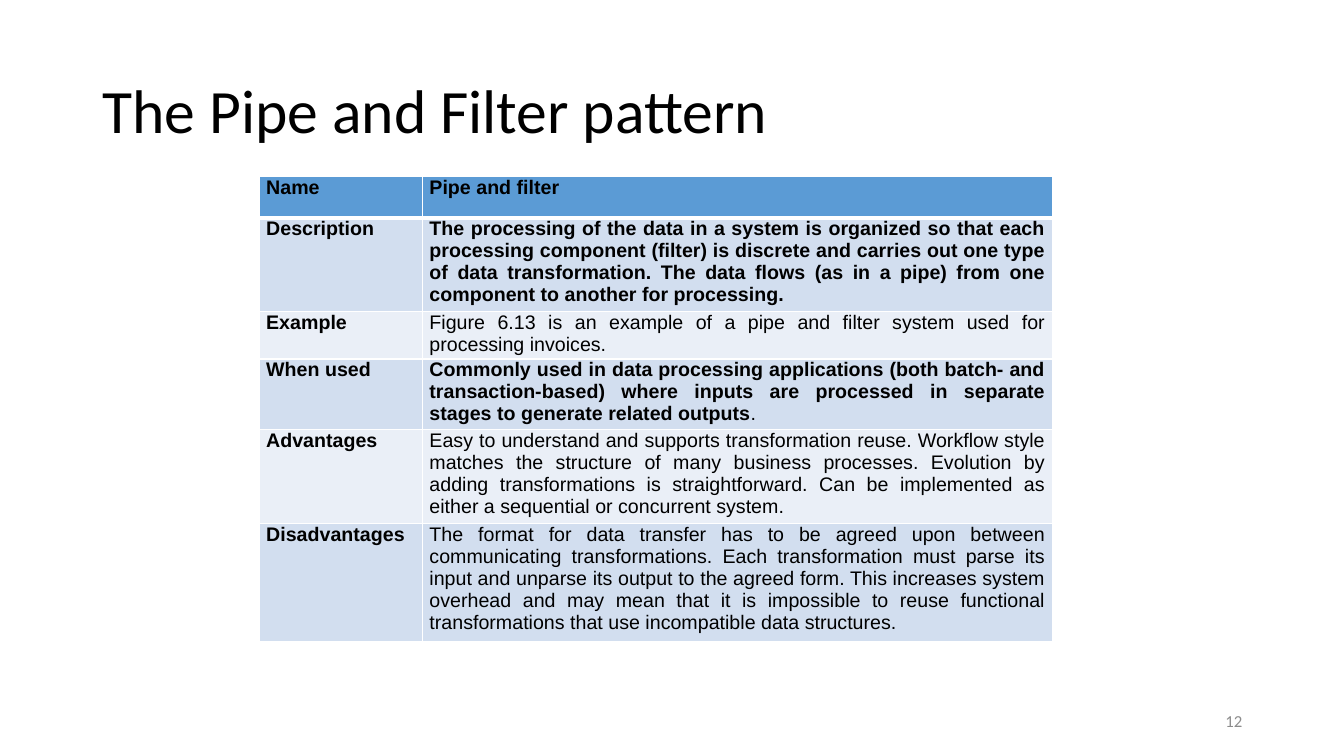
import pptx
import pptx.util
import pptx.dml.color
import pptx.enum.text
from lxml import etree
from pptx.util import Inches

COLORS = {
    "text": "000000",
    "number": "8C8C8C",
    "header": "5B9BD5",
    "band_dark": "D2DEEF",
    "band_light": "EAEFF7",
    "border": "FFFFFF",
}
ALIGN = pptx.enum.text.PP_ALIGN
ANCHOR = pptx.enum.text.MSO_ANCHOR
NS = "http://schemas.openxmlformats.org/drawingml/2006/main"

ROWS = [
    ("Name", [("Pipe and filter", True)]),
    ("Description", [(
        "The processing of the data in a system is organized so that each "
        "processing component (filter) is discrete and carries out one type of "
        "data transformation. The data flows (as in a pipe) from one component "
        "to another for processing. ", True)]),
    ("Example", [(
        "Figure 6.13 is an example of a pipe and filter system used for "
        "processing invoices.", False)]),
    ("When used", [(
        "Commonly used in data processing applications (both batch- and "
        "transaction-based) where inputs are processed in separate stages to "
        "generate related outputs", True), (".", False)]),
    ("Advantages", [(
        "Easy to understand and supports transformation reuse. Workflow style "
        "matches the structure of many business processes. Evolution by adding "
        "transformations is straightforward. Can be implemented as either a "
        "sequential or concurrent system.", False)]),
    ("Disadvantages", [(
        "The format for data transfer has to be agreed upon between "
        "communicating transformations. Each transformation must parse its "
        "input and unparse its output to the agreed form. This increases system "
        "overhead and may mean that it is impossible to reuse functional "
        "transformations that use incompatible data structures.", False)]),
]


def rgb(name):
    return pptx.dml.color.RGBColor.from_string(COLORS[name])


def set_font(p, name, size, color):
    p.font.name = name
    p.font.size = pptx.util.Pt(size)
    p.font.color.rgb = rgb(color)


def add_text(s, text, box, size, color, align):
    tf = s.shapes.add_textbox(*map(Inches, box)).text_frame
    tf.word_wrap = True
    tf.vertical_anchor = ANCHOR.MIDDLE
    p = tf.paragraphs[0]
    p.text = text
    p.alignment = align
    set_font(p, "Calibri", size, color)
    return p


def set_borders(cell, bottom):
    tc_pr = cell._tc.get_or_add_tcPr()
    for side, width in (("L", 1), ("R", 1), ("T", 1), ("B", bottom)):
        ln = etree.SubElement(tc_pr, f"{{{NS}}}ln{side}", w=str(pptx.util.Pt(width)))
        fill = etree.SubElement(ln, f"{{{NS}}}solidFill")
        etree.SubElement(fill, f"{{{NS}}}srgbClr", val=COLORS["border"])


def fill_cell(cell, runs, fill, bottom):
    cell.margin_left = cell.margin_right = Inches(0.07)
    cell.margin_top = cell.margin_bottom = 0
    set_borders(cell, bottom)
    cell.fill.solid()
    cell.fill.fore_color.rgb = rgb(fill)
    p = cell.text_frame.paragraphs[0]
    p.alignment = ALIGN.JUSTIFY
    set_font(p, "Arial", 14, "text")
    for text, bold in runs:
        r = p.add_run()
        r.text = text
        r.font.bold = bold


def add_pattern_table(s):
    row_height = Inches(0.41)
    frame = s.shapes.add_table(len(ROWS), 2, Inches(2.57), Inches(1.75),
                               Inches(7.87), row_height * len(ROWS))
    table = frame.table
    for column, width in zip(table.columns, (1.62, 6.25)):
        column.width = Inches(width)
    for i, (label, runs) in enumerate(ROWS):
        if i == 0:
            fill, bottom = "header", 3
        else:
            fill, bottom = ("band_dark" if i % 2 else "band_light"), 1
        fill_cell(table.cell(i, 0), [(label, True)], fill, bottom)
        fill_cell(table.cell(i, 1), runs, fill, bottom)


def main():
    prs = pptx.Presentation()
    prs.slide_width, prs.slide_height = Inches(13.33), Inches(7.5)
    s = prs.slides.add_slide(prs.slide_layouts[6])
    title = add_text(s, "The Pipe and Filter pattern", (0.92, 0.4, 11.5, 1.45),
                     44, "text", ALIGN.LEFT)
    title.line_spacing = 0.9
    add_pattern_table(s)
    add_text(s, "12", (9.42, 6.95, 3, 0.4), 12, "number", ALIGN.RIGHT)
    prs.save("out.pptx")


main()
